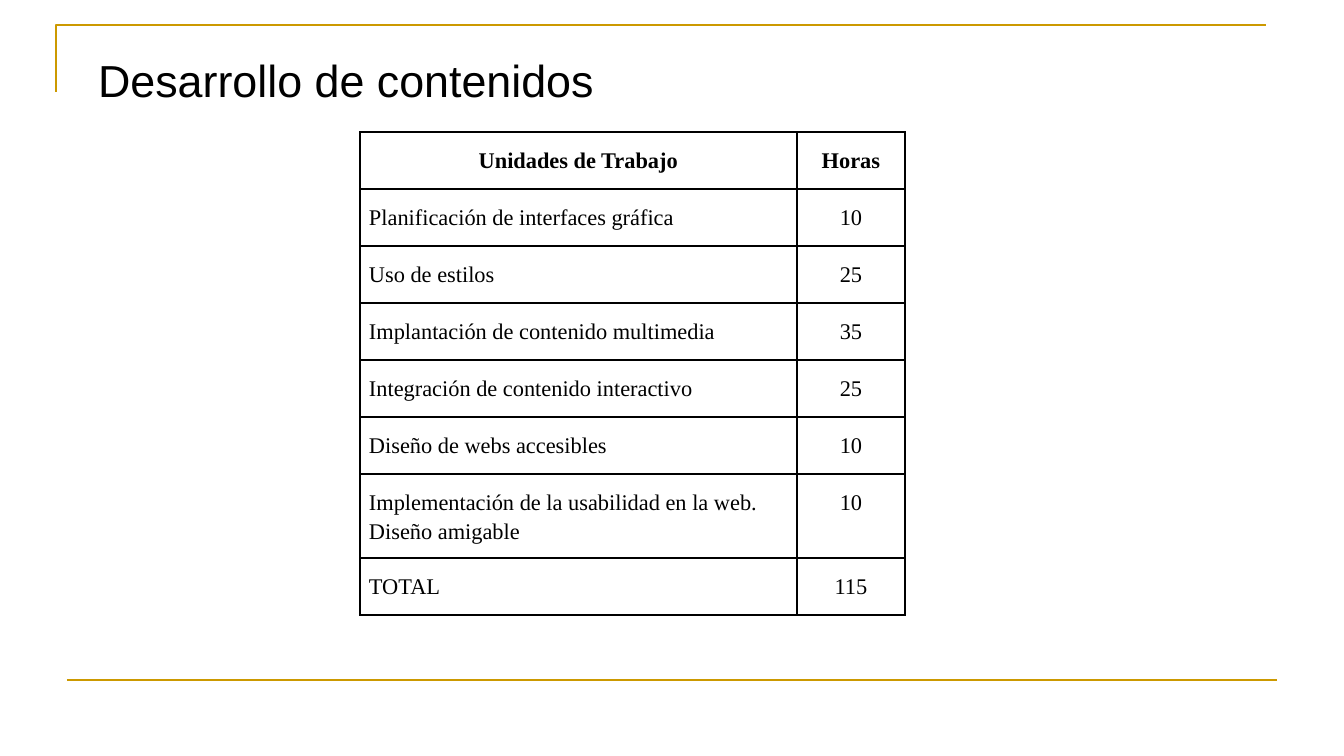
from lxml.etree import SubElement
from pptx import Presentation
from pptx.dml.color import RGBColor
from pptx.enum.shapes import MSO_CONNECTOR
from pptx.enum.text import MSO_ANCHOR as ANCHOR, PP_ALIGN as ALIGN
from pptx.oxml.ns import qn
from pptx.util import Emu, Pt

PX = 6804
GOLD = RGBColor(0xCC, 0x99, 0x00)
BLACK = RGBColor(0, 0, 0)


def px(*values):
    return [Emu(v * PX) for v in values]


def write(tf, text, font="Times New Roman", size=12, bold=False, align=ALIGN.LEFT, spacing=1.15, margins=(9, 13)):
    tf.margin_left = tf.margin_right = Emu(margins[0] * PX)
    tf.margin_top = tf.margin_bottom = Emu(margins[1] * PX)
    tf.word_wrap = True
    p = tf.paragraphs[0]
    p.alignment = align
    p.line_spacing = spacing
    r = p.add_run()
    r.text = text
    r.font.name = font
    r.font.size = Pt(size)
    r.font.bold = bold
    r.font.color.rgb = BLACK


prs = Presentation()
prs.slide_width, prs.slide_height = px(1344, 756)
s = prs.slides.add_slide(prs.slide_layouts[5])

builder = s.shapes.build_freeform(56, 92, scale=PX)
builder.add_line_segments([(56, 25), (1266, 25)], close=False)
corner = builder.convert_to_shape()
corner.shadow.inherit = False
corner.fill.background()

footer = s.shapes.add_connector(MSO_CONNECTOR.STRAIGHT, *px(67, 680, 1277, 680))
SubElement(footer._element.spPr, qn("a:effectLst"))
for rule in (corner, footer):
    rule.line.color.rgb = GOLD
    rule.line.width = Pt(1.5)

title = s.shapes.title
title.left, title.top, title.width, title.height = px(85, 36, 754, 87)
write(title.text_frame, "Desarrollo de contenidos", font="Arial", size=24, spacing=1.0, margins=(13, 13))
title.text_frame.vertical_anchor = ANCHOR.MIDDLE

units = [
    ("Unidades de Trabajo", "Horas"),
    ("Planificación de interfaces gráfica", "10"),
    ("Uso de estilos", "25"),
    ("Implantación de contenido multimedia", "35"),
    ("Integración de contenido interactivo", "25"),
    ("Diseño de webs accesibles", "10"),
    ("Implementación de la usabilidad en la web. Diseño amigable", "10"),
    ("TOTAL", "115"),
]
col_widths = px(437, 108)
row_heights = px(57, 57, 57, 57, 57, 57, 84, 57)
table = s.shapes.add_table(len(units), 2, *px(360, 132), sum(col_widths), sum(row_heights)).table
table.horz_banding = False
for col, width in zip(table.columns, col_widths):
    col.width = width
for row, height in zip(table.rows, row_heights):
    row.height = height

for i, unit in enumerate(units):
    for j, text in enumerate(unit):
        cell = table.cell(i, j)
        centred = i == 0 or j == 1
        write(cell.text_frame, text, bold=i == 0, align=ALIGN.CENTER if centred else ALIGN.LEFT)
        cell.margin_left, cell.margin_top, cell.margin_right, cell.margin_bottom = px(9, 13, 9, 13)
        tcPr = cell._tc.get_or_add_tcPr()
        for side in ("lnL", "lnR", "lnT", "lnB"):
            ln = SubElement(tcPr, qn(f"a:{side}"), w=str(Pt(1)))
            fill = SubElement(ln, qn("a:solidFill"))
            SubElement(fill, qn("a:srgbClr"), val=str(BLACK))
        cell.fill.background()

prs.save("out.pptx")
